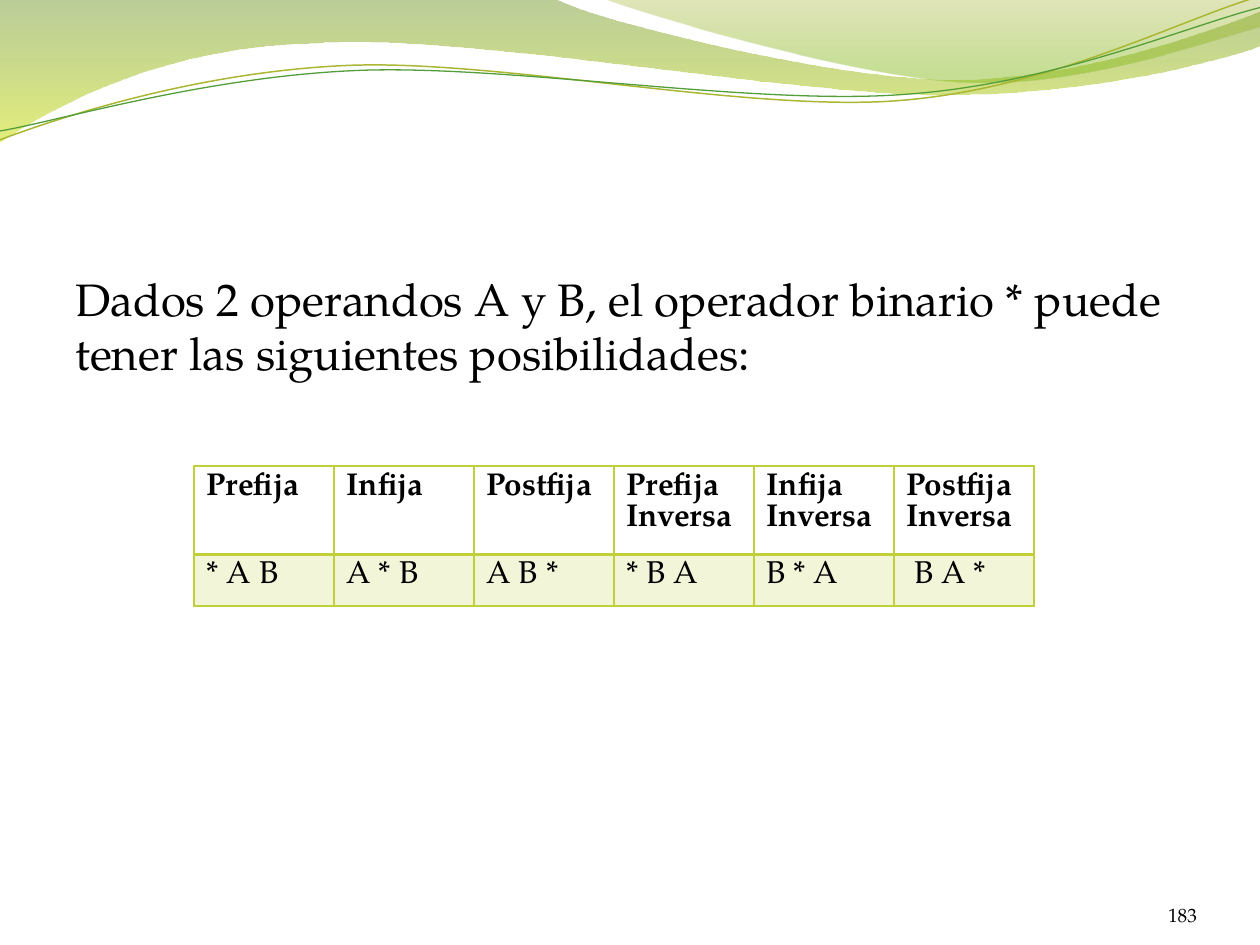
from lxml.etree import SubElement
from pptx import Presentation
from pptx.dml.color import RGBColor
from pptx.enum.text import MSO_ANCHOR, PP_ALIGN
from pptx.oxml.ns import qn
from pptx.util import Emu, Inches, Pt

WIDTH, HEIGHT = Inches(10), Inches(7.5)
FONT = "TeX Gyre Pagella"
BLACK = RGBColor(0x00, 0x00, 0x00)
LIME = RGBColor(0xC0, 0xCF, 0x3A)
MOSS = RGBColor(0x69, 0x92, 0x1C)
YELLOW_GREEN = RGBColor(0xCC, 0xE1, 0x0F)
OLIVE = RGBColor(0x9B, 0xAA, 0x1A)
LEAF = RGBColor(0x81, 0xBA, 0x16)
OLIVE_LINE = RGBColor(0xA9, 0xB7, 0x33)
GREEN_LINE = RGBColor(0x54, 0x9E, 0x39)

# Outlines in inches: a pair is a straight step, six numbers are a Bezier step.
WIDE_WAVE = [
    (0, 0), (4.4, -0.01),
    (4.75, 0.17, 6.63, 0.63, 7.58, 0.63), (8.53, 0.63, 9.58, 0.26, 10, 0.09),
    (10.01, 0.36),
    (9.83, 0.44, 8.69, 0.76, 7.46, 0.75), (6.22, 0.75, 3.81, 0.28, 2.57, 0.34),
    (1.29, 0.36, 0.46, 0.83, -0.01, 1.13),
]
RIGHT_WAVE = [
    (4.79, -0.01),
    (5.09, 0.11, 6.82, 0.62, 7.68, 0.65), (8.55, 0.69, 9.61, 0.32, 10, 0.21),
    (10, 0),
]
OLIVE_CURVE = [
    (0, 1.11), (0.48, 0.93, 1.57, 0.57, 2.76, 0.52),
    (3.95, 0.47, 5.92, 0.89, 7.12, 0.8), (8.33, 0.71, 9.38, 0.15, 9.97, -0.02),
]
GREEN_CURVE = [
    (0, 1.04), (0.47, 0.96, 1.63, 0.61, 2.83, 0.56),
    (4.02, 0.51, 5.97, 0.84, 7.17, 0.75), (8.36, 0.67, 9.41, 0.21, 10, 0.06),
]

POSITIONS = [
    ["Prefija", "Infija", "Postfija",
     "Prefija Inversa", "Infija Inversa", "Postfija Inversa"],
    ["* A B", "A * B", "A B *", "* B A", "B * A", " B A *"],
]
COLUMN_WIDTH = WIDTH / 9
ROW_HEIGHT = Inches(0.41)


def add_outline(page, outline, close):
    """Draw all nodes as straight steps, then join each Bezier triple into a curve."""
    points = [(Inches(step[i]), Inches(step[i + 1]))
              for step in outline for i in range(0, len(step), 2)]
    builder = page.shapes.build_freeform(*points[0])
    builder.add_line_segments(points[1:], close=close)
    shape = builder.convert_to_shape()
    shape.shadow.inherit = False
    segments = iter(list(shape.element.iter(qn("a:lnTo"))))
    for step in outline[1:]:
        segment = next(segments)
        if len(step) == 6:
            segment.tag = qn("a:cubicBezTo")
            for _ in range(2):
                extra = next(segments)
                segment.append(extra[0])
                extra.getparent().remove(extra)
    return shape


def set_opacity(color_parent, percent):
    color = next(color_parent.iter(qn("a:srgbClr")))
    SubElement(color, qn("a:alpha"), val=str(percent * 1000))


def add_wave(page, outline, stops):
    """Add a band with a downward gradient; stops are (position, colour, opacity)."""
    shape = add_outline(page, outline, True)
    shape.line.fill.background()
    shape.fill.gradient()
    shape.fill.gradient_angle = 270
    elements = shape.element.iter(qn("a:gs"))
    for stop, element, (position, color, opacity) in zip(
            shape.fill.gradient_stops, elements, stops):
        stop.position = position
        stop.color.rgb = color
        set_opacity(element, opacity)


def add_curve(page, outline, color, width):
    shape = add_outline(page, outline, False)
    shape.fill.background()
    shape.line.color.rgb = color
    shape.line.width = Pt(width)


def style(para, size, bold=False):
    para.font.name = FONT
    para.font.size = Pt(size)
    para.font.bold = bold
    para.font.color.rgb = BLACK


def add_text(page, text, place, size):
    """Add a wrapped text box; place holds shares of the slide's size."""
    left, top, width, height = place
    box = page.shapes.add_textbox(
        Emu(int(left * WIDTH)), Emu(int(top * HEIGHT)),
        Emu(int(width * WIDTH)), Emu(int(height * HEIGHT)))
    frame = box.text_frame
    frame.word_wrap = True
    frame.text = text
    style(frame.paragraphs[0], size)
    return frame


def add_borders(cell, widths):
    properties = cell._tc.get_or_add_tcPr()
    for side, width in zip("LRTB", widths):
        line = SubElement(properties, qn(f"a:ln{side}"), w=str(Pt(width)))
        fill = SubElement(line, qn("a:solidFill"))
        SubElement(fill, qn("a:srgbClr"), val=str(LIME))


def add_positions_table(page):
    rows, columns = len(POSITIONS), len(POSITIONS[0])
    table = page.shapes.add_table(
        rows, columns, Inches(1.54), Inches(3.7),
        Emu(int(COLUMN_WIDTH * columns)), ROW_HEIGHT * rows).table
    table.horz_banding = False
    for column in table.columns:
        column.width = Emu(int(COLUMN_WIDTH))
    for number, texts in enumerate(POSITIONS):
        header = number == 0
        table.rows[number].height = ROW_HEIGHT
        for column, text in enumerate(texts):
            cell = table.cell(number, column)
            cell.text = text
            style(cell.text_frame.paragraphs[0], 18, header)
            add_borders(cell, (1, 1, 1, 2) if header else (1, 1, 2, 1))
            if header:
                cell.fill.background()
            else:
                cell.fill.solid()
                cell.fill.fore_color.rgb = LIME
                set_opacity(cell._tc.tcPr.find(qn("a:solidFill")), 20)


def add_page_number(page, number):
    frame = add_text(page, number, (0.87, 0.93, 0.08, 0.05), 11)
    frame.margin_left = frame.margin_right = frame.margin_top = frame.margin_bottom = 0
    frame.vertical_anchor = MSO_ANCHOR.BOTTOM
    frame.paragraphs[0].alignment = PP_ALIGN.RIGHT


def main():
    deck = Presentation()
    deck.slide_width, deck.slide_height = WIDTH, HEIGHT
    page = deck.slides.add_slide(deck.slide_layouts[6])
    add_wave(page, WIDE_WAVE, [(0, MOSS, 45), (1, YELLOW_GREEN, 55)])
    add_wave(page, RIGHT_WAVE, [(0, OLIVE, 30), (0.8, LEAF, 45)])
    add_curve(page, OLIVE_CURVE, OLIVE_LINE, 0.85)
    add_curve(page, GREEN_CURVE, GREEN_LINE, 0.75)
    add_text(page, "Dados 2 operandos A y B, el operador binario * puede "
             "tener las siguientes posibilidades:", (0.05, 0.28, 0.9, 0.64), 26)
    add_page_number(page, "183")
    add_positions_table(page)
    deck.save("out.pptx")


if __name__ == "__main__":
    main()
